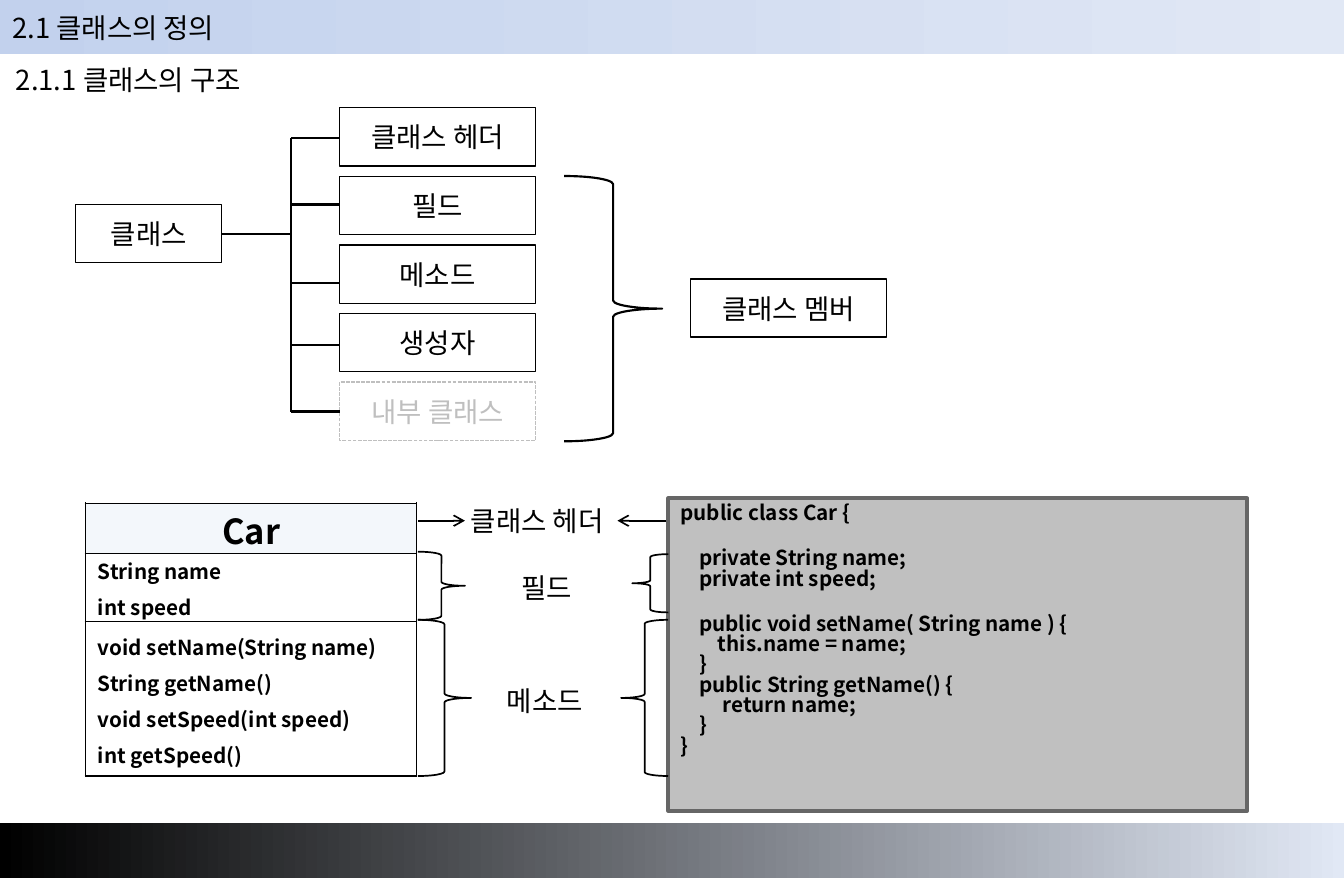
from dataclasses import dataclass

from lxml.etree import SubElement
from pptx import Presentation
from pptx.dml.color import RGBColor
from pptx.enum.dml import MSO_LINE
from pptx.enum.shapes import MSO_CONNECTOR, MSO_SHAPE
from pptx.enum.text import MSO_ANCHOR, PP_ALIGN
from pptx.oxml.ns import qn
from pptx.util import Inches, Length, Pt


@dataclass(frozen=True)
class Theme:
    font: str = "Noto Sans CJK KR"
    ink: str = "000000"
    faint: str = "BFBFBF"
    sky: str = "C2D1ED"
    mist: str = "E1E8F5"
    head: str = "F3F7FB"
    panel: str = "C0C0C0"
    edge: str = "666666"
    large: float = 20
    body: float = 16
    small: float = 12


@dataclass(frozen=True)
class Area:
    col: float
    row: float
    wide: float
    high: float


@dataclass(frozen=True)
class Label:
    text: str
    area: Area
    faint: bool = False


@dataclass(frozen=True)
class Brace:
    area: Area
    left: bool = False
    weight: float = 1


@dataclass(frozen=True)
class Line:
    col: float
    row: float
    end_col: float
    end_row: float
    weight: float = 1.25
    arrow: bool = False


THEME = Theme()
COLS, ROWS = 108.4, 70.9
TREE_COL, TREE_ROW, TREE_STEP = 27.4, 8.7, 5.53
BOX_WIDE, BOX_HIGH = 15.8, 4.7
TRUNK, CODE_COL, CARD_EDGE = 23.5, 53.9, 33.7
LINE_PITCH = 14.3

PARTS = ["클래스 헤더", "필드", "메소드", "생성자", "내부 클래스"]
BOXES = [
    Label("클래스", Area(6.1, 16.5, 11.8, BOX_HIGH)),
    Label("클래스 멤버", Area(55.7, 22.5, BOX_WIDE, BOX_HIGH)),
] + [
    Label(part, Area(TREE_COL, TREE_ROW + i * TREE_STEP, BOX_WIDE, BOX_HIGH), part == PARTS[-1])
    for i, part in enumerate(PARTS)
]
NOTES = [
    Label("2.1 클래스의 정의", Area(0, 0.4, 108.2, 3.7)),
    Label("2.1.1 클래스의 구조", Area(0.3, 4.6, 22.7, 3.7)),
    Label("클래스 헤더", Area(37, 40.2, 13.4, 3.7)),
    Label("필드", Area(41.1, 45.6, 6.3, 3.7)),
    Label("메소드", Area(39.9, 54.7, 8.4, 3.7)),
]
LINES = [
    Line(17.9, 18.9, TRUNK, 18.9),
    Line(TRUNK, 11.1, TRUNK, 33.2),
    Line(CARD_EDGE, 42, 37.5, 42, 1, True),
    Line(CODE_COL, 42, 49.8, 42, 1, True),
] + [Line(TRUNK, row, TREE_COL, row) for row in (11.1, 16.5, 22.8, 27.8, 33.2)]
BRACES = [
    Brace(Area(45.5, 14.2, 7.9, 21.4), weight=1.25),
    Brace(Area(CARD_EDGE, 44.5, 3.8, 5.5)),
    Brace(Area(CARD_EDGE, 50, 4.3, 12.6)),
    Brace(Area(51, 44.7, 2.9, 4.7), True),
    Brace(Area(50.1, 50, 3.8, 12.6), True),
]
CARD = [
    (4, "Car"),
    (5.5, "String name\nint speed"),
    (12.5, "void setName(String name)\nString getName()\nvoid setSpeed(int speed)\nint getSpeed()"),
]
CODE = """public class Car {
    private String name;
    private int speed;
    public void setName( String name ) {
        this.name = name;
    }
    public String getName() {
         return name;
    }
}"""
CODE_GAPS = (1, 3)


def cell(count: float) -> Length:
    """Turn a count of grid cells into a length."""
    return Inches(count / 10)


def place(area: Area) -> tuple:
    """Give the left, top, width and height of an area."""
    return cell(area.col), cell(area.row), cell(area.wide), cell(area.high)


def tint(code: str) -> RGBColor:
    """Turn a hex code into a colour."""
    return RGBColor.from_string(code)


def write(frame, text: str, size: float, color: str = THEME.ink, bold: bool = False,
          align: PP_ALIGN = PP_ALIGN.LEFT) -> None:
    """Fill a frame with text and format its runs."""
    frame.text = text
    for para in frame.paragraphs:
        para.alignment = align
        for run in para.runs:
            run.font.size, run.font.bold = Pt(size), bold
            run.font.name = THEME.font
            run.font.color.rgb = tint(color)
            SubElement(run.font._element, qn("a:ea"), typeface=THEME.font)


def shape(slide, kind: MSO_SHAPE, area: Area, color: str, weight: float):
    """Draw an unfilled outline shape."""
    form = slide.shapes.add_shape(kind, *place(area))
    form.shadow.inherit = False
    form.fill.background()
    form.line.color.rgb = tint(color)
    form.line.width = Pt(weight)
    return form


def band(slide, row: float, first: str) -> None:
    """Draw a gradient band across the slide."""
    form = shape(slide, MSO_SHAPE.RECTANGLE, Area(0, row, COLS, 4.4), first, 0)
    form.line.fill.background()
    form.fill.gradient()
    form.fill.gradient_angle = 0
    for stop, color in zip(form.fill.gradient_stops, (first, THEME.mist)):
        stop.color.rgb = tint(color)


def box(slide, label: Label) -> None:
    """Draw a box of the class tree."""
    color = THEME.faint if label.faint else THEME.ink
    form = shape(slide, MSO_SHAPE.RECTANGLE, label.area, color, 0.75)
    if label.faint:
        form.line.dash_style = MSO_LINE.SQUARE_DOT
    frame = form.text_frame
    frame.margin_left = frame.margin_right = frame.margin_top = frame.margin_bottom = 0
    frame.vertical_anchor, frame.word_wrap = MSO_ANCHOR.MIDDLE, False
    write(frame, label.text, THEME.body, color, align=PP_ALIGN.CENTER)


def note(slide, label: Label) -> None:
    """Write a heading or a free label."""
    frame = slide.shapes.add_textbox(*place(label.area)).text_frame
    frame.word_wrap = True
    write(frame, label.text, THEME.body)


def link(slide, line: Line) -> None:
    """Draw a straight line, with an arrowhead if asked."""
    form = slide.shapes.add_connector(MSO_CONNECTOR.STRAIGHT, cell(line.col), cell(line.row),
                                      cell(line.end_col), cell(line.end_row))
    form.line.color.rgb = tint(THEME.ink)
    form.line.width = Pt(line.weight)
    props = form.element.spPr
    if line.arrow:
        SubElement(props.find(qn("a:ln")), qn("a:tailEnd"), type="arrow")
    SubElement(props, qn("a:effectLst"))


def rule(box_cell, side: str, weight: float) -> None:
    """Draw one border of a table cell."""
    edge = SubElement(box_cell._tc.get_or_add_tcPr(), qn(f"a:{side}"), w=str(Pt(weight)))
    SubElement(SubElement(edge, qn("a:solidFill")), qn("a:srgbClr"), val=THEME.ink)


def card(slide) -> None:
    """Draw the class card as a table."""
    area = Area(6.9, 40.6, 26.7, sum(high for high, _ in CARD))
    table = slide.shapes.add_table(len(CARD), 1, *place(area)).table
    table.first_row = table.horz_banding = False
    for i, (high, text) in enumerate(CARD):
        table.rows[i].height = cell(high)
        part, top, last = table.cell(i, 0), i == 0, i == len(CARD) - 1
        for side, thick in (("lnL", True), ("lnR", True), ("lnT", top), ("lnB", last)):
            rule(part, side, 1.08 if thick else 0.45)
        part.fill.background()
        if top:
            part.fill.solid()
            part.fill.fore_color.rgb = tint(THEME.head)
        part.margin_bottom = 0
        part.vertical_anchor = MSO_ANCHOR.BOTTOM if top else MSO_ANCHOR.MIDDLE
        write(part.text_frame, text, THEME.large if top else THEME.small, bold=True,
              align=PP_ALIGN.CENTER if top else PP_ALIGN.LEFT)
        for j, para in enumerate(part.text_frame.paragraphs):
            para.line_spacing = 0.85
            if j:
                para.space_before = Pt(6.1)


def code(slide) -> None:
    """Draw the panel with the source code."""
    form = shape(slide, MSO_SHAPE.RECTANGLE, Area(CODE_COL, 40.2, 46.7, 25.2), THEME.edge, 2.25)
    form.fill.solid()
    form.fill.fore_color.rgb = tint(THEME.panel)
    frame = form.text_frame
    frame.vertical_anchor, frame.word_wrap = MSO_ANCHOR.TOP, True
    write(frame, CODE, THEME.small, bold=True)
    for i, para in enumerate(frame.paragraphs):
        para.line_spacing = 0.82
        if i in CODE_GAPS:
            para.space_before = Pt(LINE_PITCH)


def main() -> None:
    """Build the slide and save it."""
    deck = Presentation()
    deck.slide_width, deck.slide_height = cell(COLS), cell(ROWS)
    slide = deck.slides.add_slide(deck.slide_layouts[6])
    band(slide, 0, THEME.sky)
    band(slide, 66.4, THEME.ink)
    for label in BOXES:
        box(slide, label)
    for line in LINES:
        link(slide, line)
    card(slide)
    code(slide)
    for label in NOTES:
        note(slide, label)
    for brace in BRACES:
        kind = MSO_SHAPE.LEFT_BRACE if brace.left else MSO_SHAPE.RIGHT_BRACE
        shape(slide, kind, brace.area, THEME.ink, brace.weight)
    deck.save("out.pptx")


if __name__ == "__main__":
    main()
